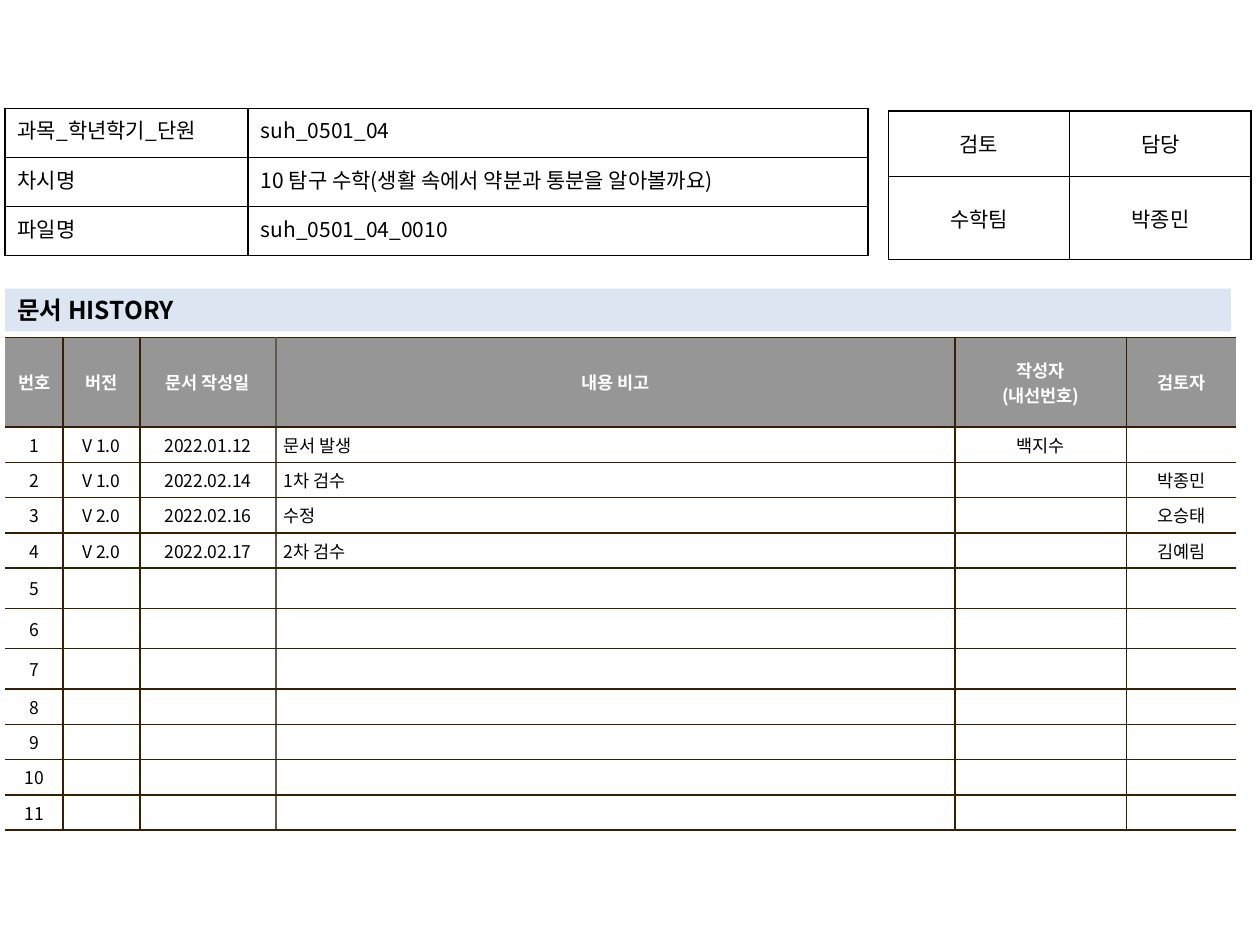
import pptx
import pptx.util
import pptx.dml.color
import pptx.enum.shapes
import pptx.enum.text
import pptx.oxml.ns
from lxml import etree

Inches, Pt = pptx.util.Inches, pptx.util.Pt
ALIGN = pptx.enum.text.PP_ALIGN
MIDDLE = pptx.enum.text.MSO_ANCHOR.MIDDLE
TOP = pptx.enum.text.MSO_ANCHOR.TOP
qn = pptx.oxml.ns.qn

# Content
FONT = "Noto Sans CJK KR"
INFO = [
    ("과목_학년학기_단원", "suh_0501_04"),
    ("차시명", "10 탐구 수학(생활 속에서 약분과 통분을 알아볼까요)"),
    ("파일명", "suh_0501_04_0010"),
]
APPROVAL = [("검토", "담당"), ("수학팀", "박종민")]
HEADING = "문서 HISTORY"
HEADERS = ("번호", "버전", "문서 작성일", "내용 비고", "작성자\n(내선번호)", "검토자")
ENTRIES = [
    ("V 1.0", "2022.01.12", "문서 발생", "백지수", ""),
    ("V 1.0", "2022.02.14", "1차 검수", "", "박종민"),
    ("V 2.0", "2022.02.16", "수정", "", "오승태"),
    ("V 2.0", "2022.02.17", "2차 검수", "", "김예림"),
]
ROW_COUNT = 11
TALL_ROWS = (5, 6, 7)
NOTE_COL = 3
BROWN, TAUPE = "362000", "645B4C"


def rgb(value):
    return pptx.dml.color.RGBColor.from_string(value)


def style_text(tf, size, color, bold, align):
    for p in tf.paragraphs:
        p.alignment = align
        for r in p.runs:
            r.font.size, r.font.bold, r.font.name = Pt(size), bold, FONT
            r.font.color.rgb = rgb(color)
            etree.SubElement(r.font._element, qn("a:ea"), typeface=FONT)
        if not p.runs:
            etree.SubElement(p._p, qn("a:endParaRPr"), sz=str(size * 100))


def set_borders(cell, colors):
    """Draw left, right, top and bottom borders; None means no line."""
    tcPr = cell._tc.get_or_add_tcPr()
    for side, color in zip("LRTB", colors):
        ln = etree.SubElement(tcPr, qn(f"a:ln{side}"), w=str(Pt(1)))
        if color is None:
            etree.SubElement(ln, qn("a:noFill"))
        else:
            fill = etree.SubElement(ln, qn("a:solidFill"))
            etree.SubElement(fill, qn("a:srgbClr"), val=color)


def add_grid(s, left, top, widths, heights, data, format_cell):
    table = s.shapes.add_table(len(heights), len(widths), Inches(left), Inches(top),
                               Inches(sum(widths)), Inches(sum(heights))).table
    table.first_row = table.horz_banding = False
    for col, width in zip(table.columns, widths):
        col.width = Inches(width)
    for row, height in zip(table.rows, heights):
        row.height = Inches(height)
    for i, values in enumerate(data):
        for j, value in enumerate(values):
            cell = table.cell(i, j)
            cell.text_frame.text = value
            format_cell(cell, i, j)


def format_plain(cell, anchor, align):
    set_borders(cell, ["000000"] * 4)
    cell.fill.background()
    cell.vertical_anchor = anchor
    style_text(cell.text_frame, 12, "000000", False, align)


def format_info(cell, i, j):
    format_plain(cell, TOP, ALIGN.LEFT if j else ALIGN.JUSTIFY)


def format_approval(cell, i, j):
    format_plain(cell, MIDDLE, ALIGN.CENTER)


def format_history(cell, i, j):
    last = len(HEADERS) - 1
    # Vertical rules: open at both sides, taupe before the notes
    rules = [None] + [BROWN] * last + [None]
    rules[NOTE_COL] = TAUPE
    set_borders(cell, (rules[j], rules[j + 1], BROWN, BROWN))
    header = i == 0
    cell.fill.solid()
    cell.fill.fore_color.rgb = rgb("969696" if header else "FFFFFF")
    cell.vertical_anchor = MIDDLE
    cell.margin_left = cell.margin_right = Inches(0.06)
    cell.margin_top = cell.margin_bottom = Inches(0.04)
    size = 12 if i in TALL_ROWS and j else 10
    align = ALIGN.LEFT if j == NOTE_COL and not header else ALIGN.CENTER
    style_text(cell.text_frame, size, "FFFFFF" if header else "000000", header, align)


prs = pptx.Presentation()
prs.slide_width, prs.slide_height = Inches(10), Inches(7.5)
s = prs.slides.add_slide(prs.slide_layouts[6])

# History table
blank = ("",) * (len(HEADERS) - 1)
entries = ENTRIES + [blank] * (ROW_COUNT - len(ENTRIES))
history = [HEADERS] + [(str(n), *entry) for n, entry in enumerate(entries, 1)]
heights = [0.71] + [0.32 if n in TALL_ROWS else 0.28 for n in range(1, ROW_COUNT + 1)]
add_grid(s, 0.04, 2.68, (0.46, 0.61, 1.08, 5.39, 1.36, 0.87), heights, history,
         format_history)

# Approval table
add_grid(s, 7.05, 0.88, (1.44, 1.44), (0.52, 0.66), APPROVAL, format_approval)

# Heading bar
sp = s.shapes.add_shape(pptx.enum.shapes.MSO_SHAPE.RECTANGLE, Inches(0.04), Inches(2.29),
                        Inches(9.73), Inches(0.34))
sp.shadow.inherit = False
sp.fill.solid()
sp.fill.fore_color.rgb = rgb("DCE6F2")
sp.line.fill.background()
tf = sp.text_frame
tf.text = HEADING
tf.vertical_anchor = MIDDLE
style_text(tf, 14, "000000", True, ALIGN.LEFT)

# Document information table
add_grid(s, 0.04, 0.86, (1.93, 4.92), (0.39,) * len(INFO), INFO, format_info)

prs.save("out.pptx")
